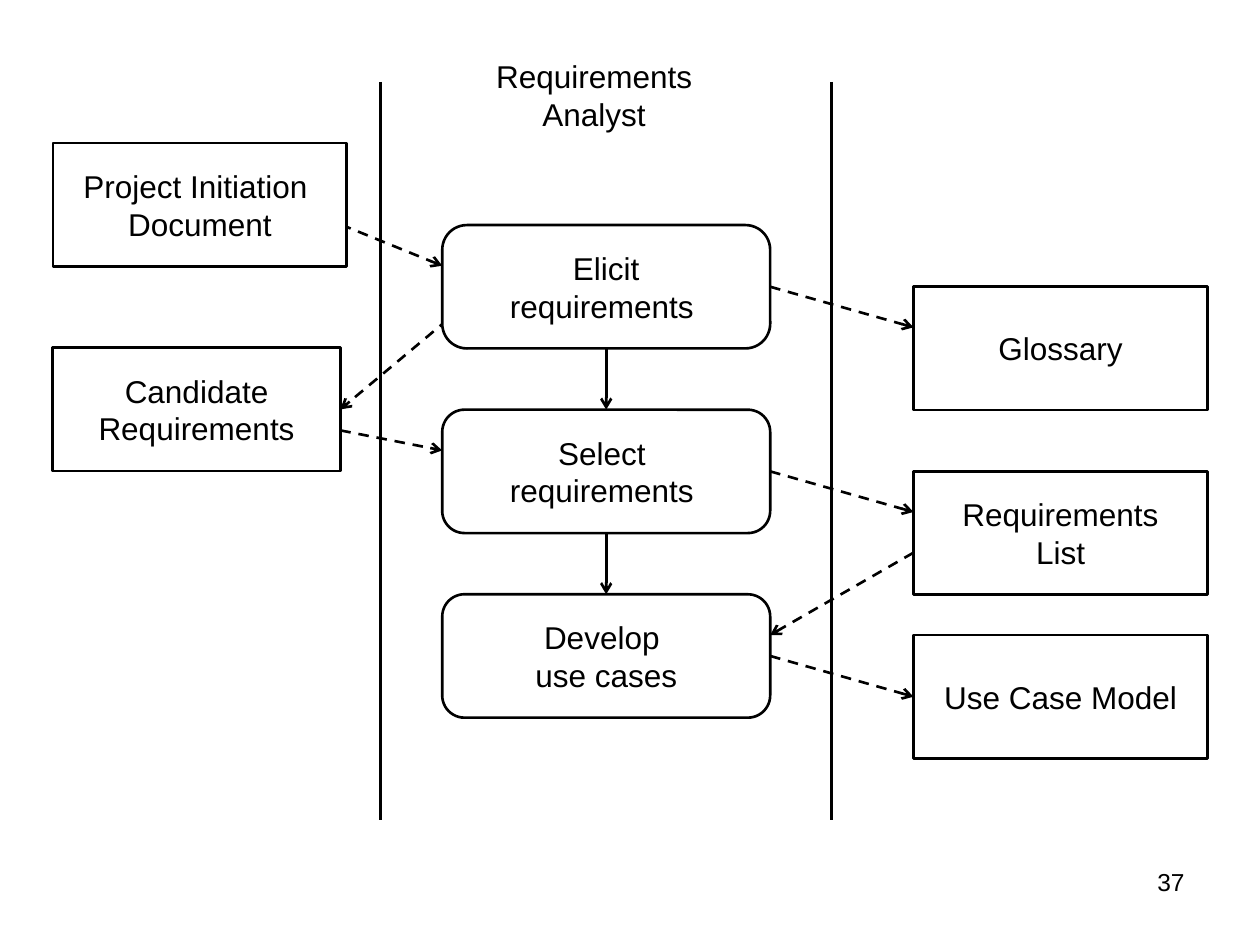
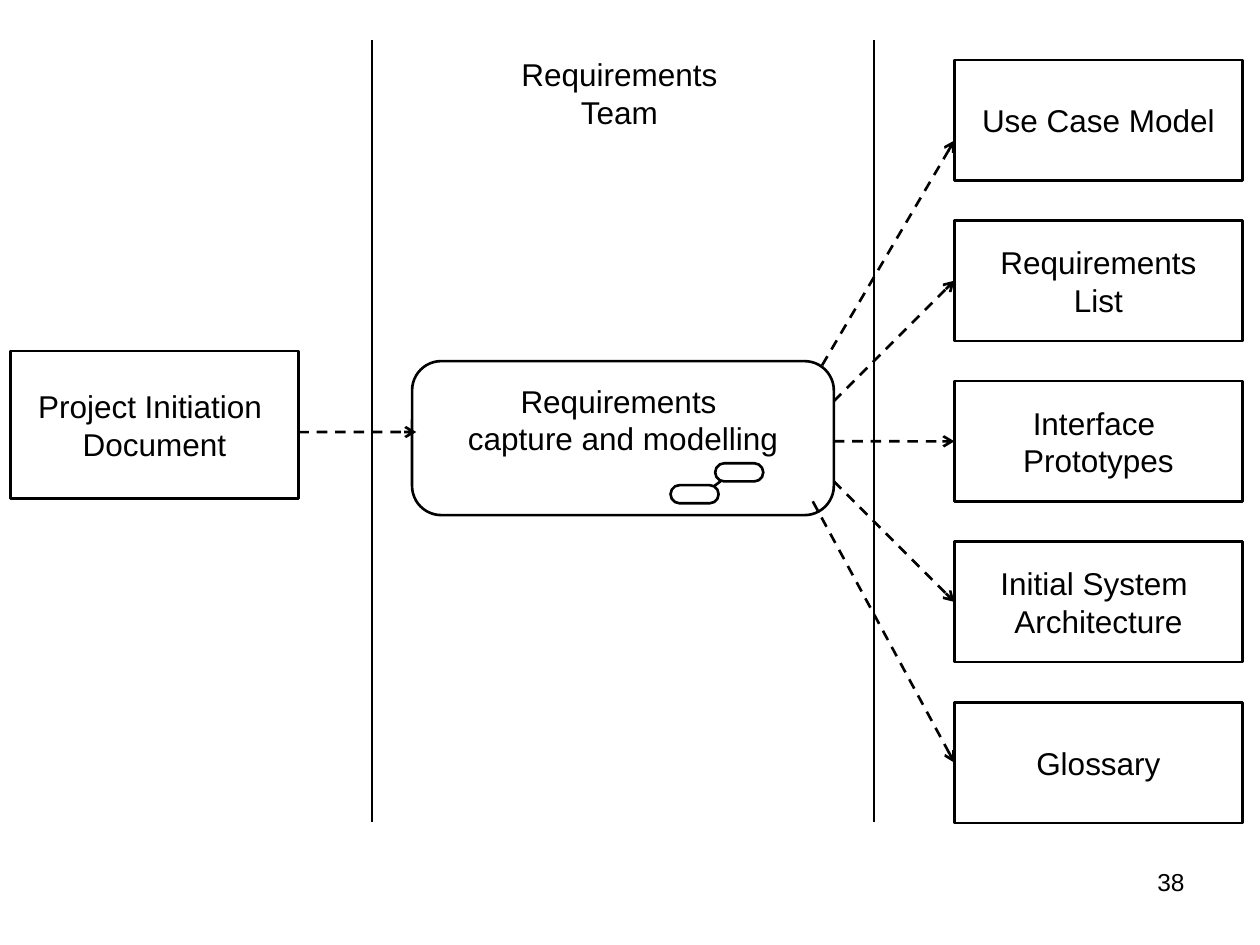
from lxml import etree
from pptx import Presentation
from pptx import util as u
from pptx.dml import color
from pptx.enum import dml, shapes, text
from pptx.oxml import ns

COLOURS = {"ink": "000000", "paper": "FFFFFF"}
FONT = "Arial"
LINE_WIDTH = 1.5
LABEL = {"size": 18, "align": text.PP_ALIGN.CENTER}
NUMBER = {"size": 14, "align": text.PP_ALIGN.RIGHT}
NUMBER_BOX = (516, 492, 168, 37.5)


def column(left, width, height, tops, names):
    return {name: (left, top, width, height) for name, top in zip(names, tops)}


def steps(first, pitch, count):
    return [first + pitch * index for index in range(count)]


ANALYST = {
    "number": "37",
    "caption": (["Requirements", "Analyst"], (274.5, 29, 130, 50.4)),
    "lanes": ([217.5, 475.2], 46.8, 468.5),
    "documents": {
        **column(30.2, 168, 70.5, [81.8], ["initiation"]),
        **column(30.2, 164.3, 70.5, [198.7], ["candidates"]),
        **column(522, 168, 70.5, [163.8, 269.3, 362.9], ["glossary", "list", "model"]),
    },
    "activities": column(252.7, 187.4, 70.5, steps(128.6, 105.5, 3),
                         ["elicit", "select", "develop"]),
    "corners": {"elicit": 0.2, "select": 0.18, "develop": 0.18},
    "flows_behind": [
        (("initiation", 0.98, 0.66), ("elicit", 0, 0.33)),
        (("elicit", 0.06, 0.67), ("candidates", 1, 0.5)),
        (("candidates", 1, 0.67), ("select", 0, 0.33)),
        (("elicit", 1, 0.5), ("glossary", 0, 0.33)),
        (("select", 1, 0.5), ("list", 0, 0.33)),
        (("list", 0, 0.66), ("develop", 1, 0.33)),
        (("develop", 1, 0.5), ("model", 0, 0.5)),
    ],
    "flows_in_front": [],
    "sequence": [
        (("elicit", 0.5, 1), ("select", 0.5, 0)),
        (("select", 0.5, 1), ("develop", 0.5, 0)),
    ],
}

TEAM = {
    "number": "38",
    "caption": (["Requirements", "Team"], (289, 28, 130, 50.4)),
    "lanes": ([212.5, 499.5], 23, 470),
    "documents": {
        **column(6, 164.5, 84.4, [200.5], ["initiation"]),
        **column(545.4, 164.5, 68.8, steps(34.2, 91.8, 5),
                 ["model", "list", "prototypes", "architecture", "glossary"]),
    },
    "activities": column(235.5, 241, 88, [206.4], ["capture"]),
    "corners": {"capture": 0.19},
    "flows_behind": [
        (("capture", 0.95, 0.13), ("model", 0, 0.67)),
        (("capture", 1, 0.26), ("list", 0, 0.5)),
        (("capture", 1, 0.52), ("prototypes", 0, 0.5)),
        (("capture", 1, 0.78), ("architecture", 0, 0.5)),
    ],
    "flows_in_front": [
        (("initiation", 1, 0.55), ("capture", 0.01, 0.46)),
        (("capture", 0.95, 0.91), ("glossary", 0, 0.5)),
    ],
    "sequence": [],
    "icon": {"pills": [(408.7, 264.7), (383.2, 277.2)], "size": (27.5, 10.4),
             "link": ((407.8, 278), (411.8, 275))},
}

LABELS = {
    "initiation": ["Project Initiation ", "Document"],
    "candidates": ["Candidate", "Requirements"],
    "glossary": ["Glossary"],
    "list": ["Requirements", "List"],
    "model": ["Use Case Model"],
    "prototypes": ["Interface ", "Prototypes"],
    "architecture": ["Initial System ", "Architecture"],
    "elicit": ["Elicit", "requirements "],
    "select": ["Select ", "requirements "],
    "develop": ["Develop ", "use cases"],
    "capture": ["Requirements ", "capture and modelling"],
}
BOTTOM_INSETS = {"capture": 25}


def points(values):
    return [u.Pt(value) for value in values]


def paint(target, name):
    target.rgb = color.RGBColor.from_string(COLOURS[name])


def write(box, lines, style, **frame_format):
    frame = box.text_frame
    values = {"word_wrap": False, "margin_left": u.Pt(7.2), "margin_right": u.Pt(7.2),
              "margin_top": u.Pt(3.6), "margin_bottom": u.Pt(3.6), **frame_format}
    for key, value in values.items():
        setattr(frame, key, value)
    for index, line in enumerate(lines):
        para = frame.add_paragraph() if index else frame.paragraphs[0]
        para.alignment = style["align"]
        span = para.add_run()
        span.text = line
        span.font.name = FONT
        span.font.size = u.Pt(style["size"])
        paint(span.font.color, "ink")


def add_box(parent, kind, place, corner=None):
    box = parent.add_shape(kind, *points(place))
    box.shadow.inherit = False
    box.fill.solid()
    paint(box.fill.fore_color, "paper")
    paint(box.line.color, "ink")
    box.line.width = u.Pt(LINE_WIDTH)
    if corner is not None:
        box.adjustments[0] = corner
    return box


def add_line(parent, start, end, arrow=False, dashed=False):
    line = parent.add_connector(shapes.MSO_CONNECTOR.STRAIGHT, *points(start + end))
    paint(line.line.color, "ink")
    line.line.width = u.Pt(LINE_WIDTH)
    if dashed:
        line.line.dash_style = dml.MSO_LINE.DASH
    properties = line._element.spPr
    if arrow:
        etree.SubElement(properties.find(ns.qn("a:ln")), ns.qn("a:tailEnd"), type="arrow")
    etree.SubElement(properties, ns.qn("a:effectLst"))


def add_arrows(page, places, links, dashed):
    def anchor(name, across, down):
        left, top, width, height = places[name]
        return left + across * width, top + down * height

    for start, end in links:
        add_line(page.shapes, anchor(*start), anchor(*end), arrow=True, dashed=dashed)


def add_icon(page, icon):
    group = page.shapes.add_group_shape()
    for corner in icon["pills"]:
        add_box(group.shapes, shapes.MSO_SHAPE.ROUNDED_RECTANGLE, corner + icon["size"], 0.5)
    add_line(group.shapes, *icon["link"])


def add_page(deck, content):
    page = deck.slides.add_slide(deck.slide_layouts[6])
    places = {**content["documents"], **content["activities"]}
    add_arrows(page, places, content["flows_behind"], dashed=True)
    for name, place in places.items():
        rounded = name in content["activities"]
        kind = shapes.MSO_SHAPE.ROUNDED_RECTANGLE if rounded else shapes.MSO_SHAPE.RECTANGLE
        box = add_box(page.shapes, kind, place, content["corners"].get(name))
        write(box, LABELS[name], LABEL, vertical_anchor=text.MSO_ANCHOR.MIDDLE,
              margin_bottom=u.Pt(BOTTOM_INSETS.get(name, 3.6)))
    add_arrows(page, places, content["sequence"], dashed=False)
    add_arrows(page, places, content["flows_in_front"], dashed=True)
    lanes, top, bottom = content["lanes"]
    for lane in lanes:
        add_line(page.shapes, (lane, top), (lane, bottom))
    if "icon" in content:
        add_icon(page, content["icon"])
    lines, place = content["caption"]
    write(page.shapes.add_textbox(*points(place)), lines, LABEL,
          auto_size=text.MSO_AUTO_SIZE.SHAPE_TO_FIT_TEXT)
    write(page.shapes.add_textbox(*points(NUMBER_BOX)), [content["number"]], NUMBER,
          word_wrap=True)


def main():
    deck = Presentation()
    deck.slide_width, deck.slide_height = points((720, 540))
    for content in (ANALYST, TEAM):
        add_page(deck, content)
    deck.save("out.pptx")


if __name__ == "__main__":
    main()
